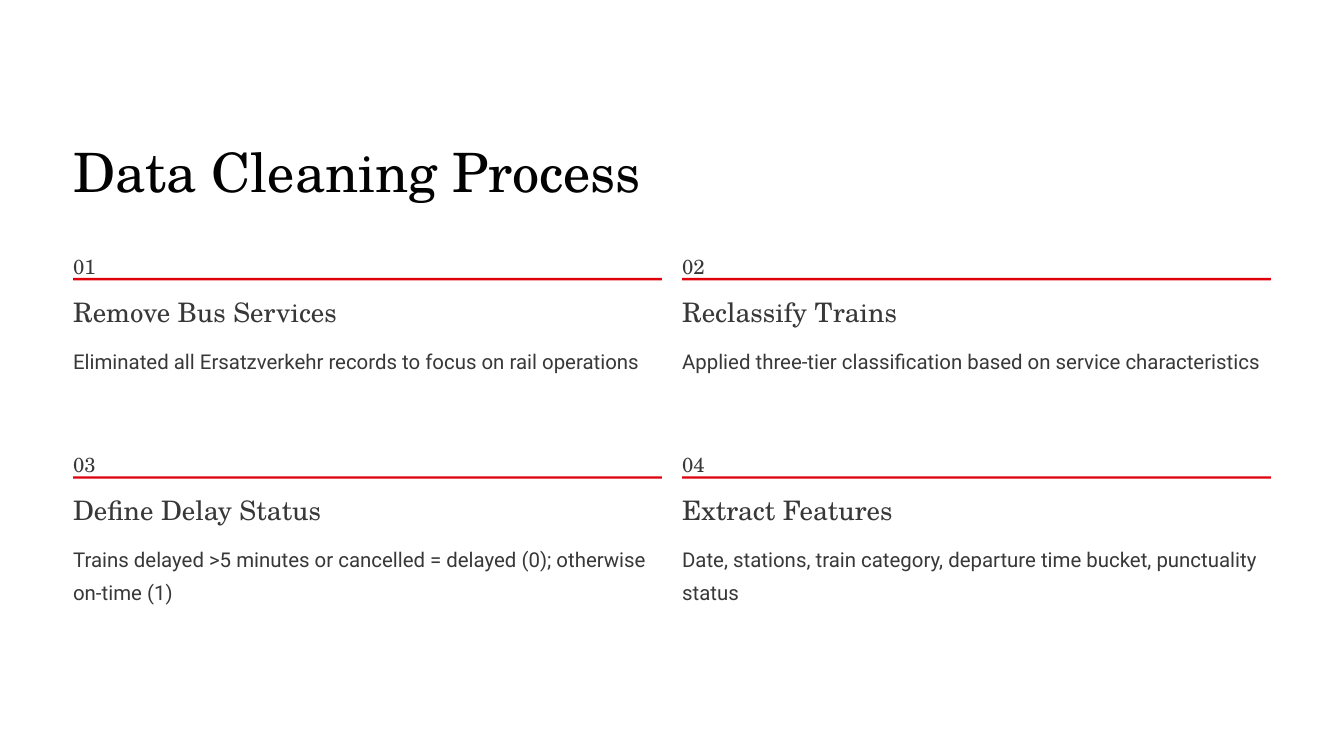
import pptx
import pptx.dml.color
import pptx.enum.shapes
import pptx.util
from pptx.util import Inches

SERIF = "TeX Gyre Schola"
SANS = "Roboto"
INK = "383838"
WIDTH, HEIGHT = 16, 9
LEFT, TOP = 0.87, 2.92
COLUMN_STEP, ROW_STEP = 7.25, 2.36
COLUMN_WIDTH = 7.01
STEPS = [
    ("Remove Bus Services",
     "Eliminated all Ersatzverkehr records to focus on rail operations"),
    ("Reclassify Trains",
     "Applied three-tier classification based on service characteristics"),
    ("Define Delay Status",
     "Trains delayed >5 minutes or cancelled = delayed (0); otherwise on-time (1)"),
    ("Extract Features",
     "Date, stations, train category, departure time bucket, punctuality status"),
]


def color(value):
    """Return the colour for a hex string."""
    return pptx.dml.color.RGBColor.from_string(value)


def add_text(page, text, left, top, width, height, *, size=17.5, font=SERIF,
             ink=INK, spacing=28.5):
    """Add a text box without margins, holding one formatted paragraph."""
    box = page.shapes.add_textbox(Inches(left), Inches(top),
                                  Inches(width), Inches(height))
    frame = box.text_frame
    frame.margin_left = frame.margin_right = 0
    frame.margin_top = frame.margin_bottom = 0
    frame.word_wrap = True
    para = frame.paragraphs[0]
    para.line_spacing = pptx.util.Pt(spacing)
    span = para.add_run()
    span.text = text
    span.font.size = pptx.util.Pt(size)
    span.font.name = font
    span.font.color.rgb = color(ink)


def add_panel(page, left, top, width, height, fill):
    """Add a plain filled rectangle without an outline."""
    panel = page.shapes.add_shape(pptx.enum.shapes.MSO_SHAPE.RECTANGLE,
                                  Inches(left), Inches(top),
                                  Inches(width), Inches(height))
    panel.shadow.inherit = False
    panel.fill.solid()
    panel.fill.fore_color.rgb = color(fill)
    panel.line.fill.background()


def add_step(page, index, heading, detail):
    """Add one numbered step in its cell of the two-column grid."""
    row, column = divmod(index, 2)
    left = LEFT + column * COLUMN_STEP
    top = TOP + row * ROW_STEP
    add_text(page, f"{index + 1:02d}", left, top, 0.4, 0.31)
    add_panel(page, left, top + 0.39, COLUMN_WIDTH, 0.03, "E0000B")
    add_text(page, heading, left, top + 0.58, 3.26, 0.41, size=23, spacing=29)
    add_text(page, detail, left, top + 1.13, COLUMN_WIDTH, 0.79, font=SANS)


def main():
    """Build the slide and save the deck."""
    deck = pptx.Presentation()
    deck.slide_width, deck.slide_height = Inches(WIDTH), Inches(HEIGHT)
    page = deck.slides.add_slide(deck.slide_layouts[6])
    add_panel(page, 0, 0, WIDTH, HEIGHT, "FFFFFF")
    add_text(page, "Data Cleaning Process", LEFT, 1.61, COLUMN_WIDTH, 0.81,
             size=46.5, ink="020202", spacing=58.5)
    for index, (heading, detail) in enumerate(STEPS):
        add_step(page, index, heading, detail)
    deck.save("out.pptx")


if __name__ == "__main__":
    main()
